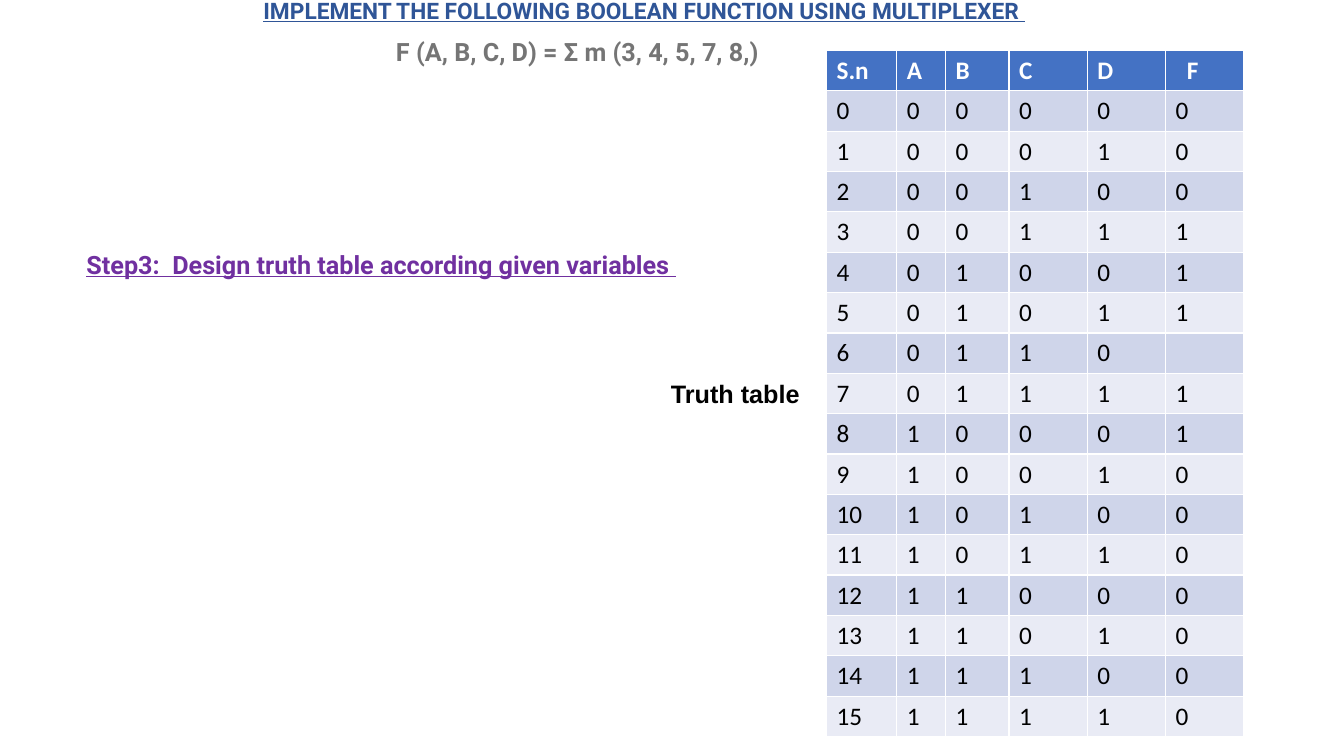
from pptx import Presentation
from pptx.dml.color import RGBColor
from pptx.enum.text import MSO_ANCHOR, MSO_AUTO_SIZE, PP_ALIGN
from pptx.util import Cm, Pt

TOP = MSO_ANCHOR.TOP
GROW = MSO_AUTO_SIZE.SHAPE_TO_FIT_TEXT
LEFT, CENTER = PP_ALIGN.LEFT, PP_ALIGN.CENTER

COLORS = {
    "title": "2F5597",
    "function": "757575",
    "step": "7030A0",
    "black": "000000",
    "white": "FFFFFF",
    "header": "4472C4",
    "odd_row": "CFD5EA",
    "even_row": "E9EBF5",
}
HEADINGS = ["S.n", "A", "B", "C", "D", "  F"]
COLUMN_WIDTHS = [1.77, 1.23, 1.6, 1.97, 1.97, 1.97]
ROW_HEIGHT = 1.01
MINTERMS = {3, 4, 5, 7, 8}
UNFILLED = {6}


def style_span(span, font, size, color, bold, underline=False):
    """Set the font of one run."""
    span.font.name = font
    span.font.size = Pt(size)
    span.font.bold = bold
    span.font.underline = underline
    span.font.color.rgb = RGBColor.from_string(COLORS[color])


def add_label(page, text, place, color, font="Roboto", size=18,
              underline=False, align=LEFT, spacing=1.0, after=0):
    """Add a bold line of text and return its box."""
    box = page.shapes.add_textbox(*[Cm(length) for length in place])
    frame = box.text_frame
    frame.text = text
    frame.word_wrap = True
    frame.auto_size = GROW
    frame.vertical_anchor = TOP
    para = frame.paragraphs[0]
    para.alignment = align
    para.line_spacing = spacing
    para.space_after = Pt(after)
    style_span(para.runs[0], font, size, color, True, underline)
    return box


def truth_rows():
    """Return the rows of the truth table, one for each value of A, B, C, D."""
    rows = []
    for number in range(16):
        output = "" if number in UNFILLED else str(int(number in MINTERMS))
        rows.append([str(number), *f"{number:04b}", output])
    return rows


def add_truth_table(page, left, top):
    """Add the truth table with its header and banded rows."""
    rows = [HEADINGS] + truth_rows()
    table = page.shapes.add_table(
        len(rows), len(HEADINGS), Cm(left), Cm(top),
        Cm(sum(COLUMN_WIDTHS)), Cm(ROW_HEIGHT * len(rows))).table
    for column, width in zip(table.columns, COLUMN_WIDTHS):
        column.width = Cm(width)
    for row_index, values in enumerate(rows):
        is_header = row_index == 0
        band = "header" if is_header else ("even_row", "odd_row")[row_index % 2]
        for column_index, value in enumerate(values):
            cell = table.cell(row_index, column_index)
            cell.text = value
            cell.fill.solid()
            cell.fill.fore_color.rgb = RGBColor.from_string(COLORS[band])
            for span in cell.text_frame.paragraphs[0].runs:
                style_span(span, "Calibri", 18,
                           "white" if is_header else "black", is_header)


def main():
    """Build the slide and save it."""
    deck = Presentation()
    deck.slide_width, deck.slide_height = Cm(33.87), Cm(19.05)
    page = deck.slides.add_slide(deck.slide_layouts[6])

    title = add_label(
        page, "IMPLEMENT THE FOLLOWING BOOLEAN FUNCTION USING MULTIPLEXER ",
        (3.53, 0, 25.4, 0.62), "title", size=16.2, underline=True,
        align=CENTER, spacing=0.9)
    title.text_frame.margin_top = title.text_frame.margin_bottom = 0
    add_label(page, "F (A, B, C, D) = Σ m (3, 4, 5, 7, 8,)",
              (9.73, 0.74, 16.94, 1.04), "function", spacing=1.07, after=8)
    add_label(page, "Truth table", (16.66, 9.4, 4.42, 1.02), "black",
              font="Arial")
    add_truth_table(page, 20.83, 1.27)
    add_label(page, "Step3:  Design truth table according given variables ",
              (1.93, 6.1, 16.94, 1.04), "step", underline=True,
              spacing=1.07, after=8)
    deck.save("out.pptx")


if __name__ == "__main__":
    main()
